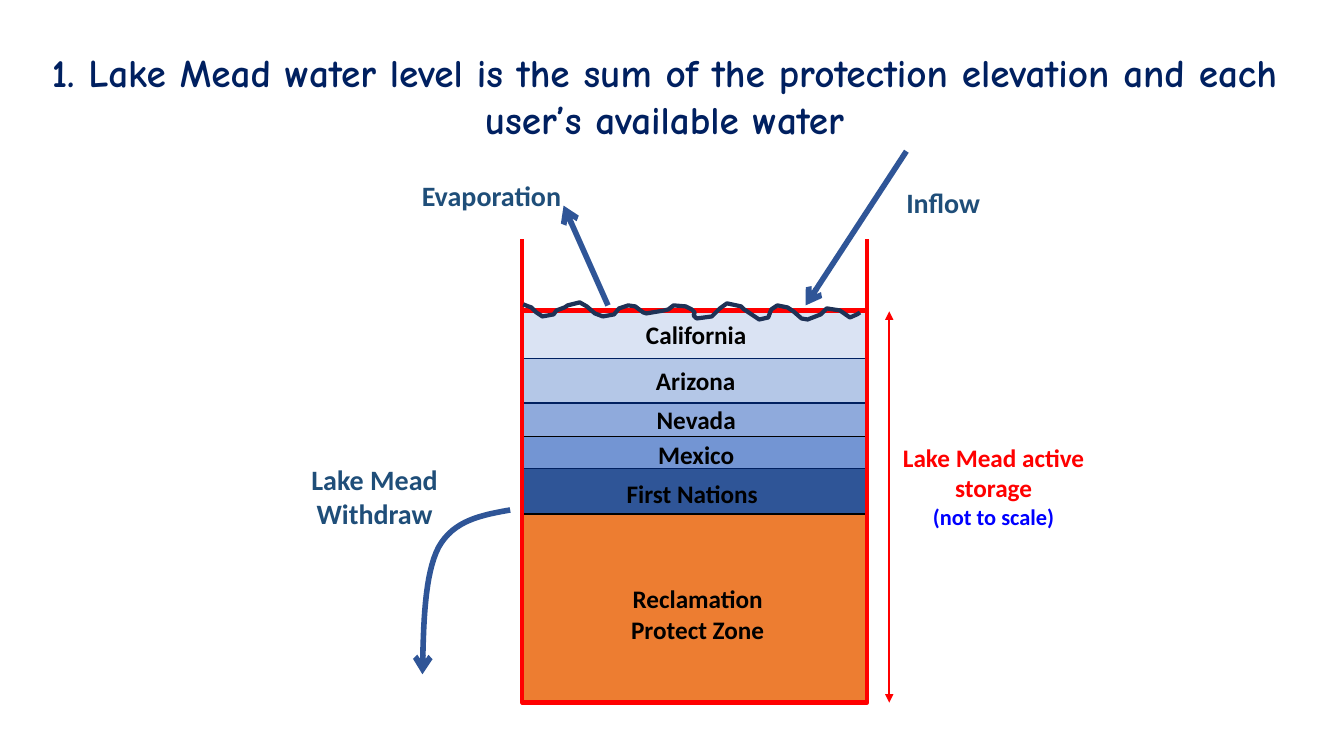
from lxml import etree
from pptx import Presentation
from pptx.dml.color import RGBColor
from pptx.enum.shapes import MSO_CONNECTOR, MSO_SHAPE
from pptx.enum.text import MSO_ANCHOR, MSO_AUTO_SIZE, PP_ALIGN
from pptx.oxml.ns import qn
from pptx.util import Inches, Pt

LINE = MSO_CONNECTOR.STRAIGHT
RECT = MSO_SHAPE.RECTANGLE
TOP = MSO_ANCHOR.TOP
FIXED = MSO_AUTO_SIZE.NONE
MID = PP_ALIGN.CENTER

HUE = {"navy": "002060", "flow": "2F5597", "label": "1F4E79", "red": "FF0000",
       "blue": "0000FF", "black": "000000", "wave": "1E3256"}

TITLE = ("1. Lake Mead water level is the sum of the protection elevation "
         "and each user’s available water")
LEFT, WIDTH, FLOOR = 5.18, 3.42, 6.97
RIGHT = LEFT + WIDTH

# name, top, fill, edge, label box
BANDS = [
    ("California", 3.08, "DAE3F3", "navy", (5.83, 3.12, 2.15, 0.4)),
    ("Arizona", 3.56, "B4C7E7", "navy", (5.81, 3.58, 2.18, 0.4)),
    ("Nevada", 4.0, "8FAADC", "navy", (6.41, 3.96, 0.99, 0.4)),
    ("Mexico", 4.33, "7395D3", "black", (6.36, 4.31, 1.09, 0.4)),
    ("First Nations", 4.65, "2F5597", "navy", (5.47, 4.7, 2.79, 0.4)),
    ("Reclamation Protect Zone", 5.1, "ED7D31", "black", (5.84, 5.74, 2.16, 0.71)),
]
SURFACE = BANDS[0][1]

LABELS = [
    ((8.39, 1.79, 1.93, 0.44), [("Inflow", 20, "label")]),
    ((2.96, 4.54, 1.51, 0.77), [("Lake Mead Withdraw", 20, "label")]),
    ((3.91, 1.72, 1.93, 0.44), [("Evaporation", 20, "label")]),
    ((8.82, 4.34, 2.07, 0.98), [("Lake Mead active storage", 18, "red"),
                                ("(not to scale)", 16, "blue")]),
]

# start, end, hue, weight, head, tail
LINES = [
    ((8.99, 1.5), (7.99, 3.03), "flow", 4, None, "arrow"),
    ((6.03, 3.03), (5.59, 2.04), "flow", 4, None, "arrow"),
    ((8.82, 3.09), (8.82, FLOOR), "red", 1.5, "triangle", "triangle"),
    ((LEFT, SURFACE), (LEFT, 2.37), "red", 3, None, None),
    ((RIGHT, SURFACE), (RIGHT, 2.37), "red", 3, None, None),
]

DRAIN = [
    [(5.06, 5.06), (4.78, 5.11), (4.5, 5.16), (4.35, 5.43)],
    [(4.35, 5.43), (4.21, 5.7), (4.2, 6.19), (4.19, 6.69)],
]

WAVE = [
    (5.19, 3.02), (5.24, 3.04), (5.27, 3.05), (5.32, 3.1), (5.38, 3.14),
    (5.49, 3.12), (5.52, 3.08), (5.6, 3.05), (5.63, 3.03), (5.75, 3.0),
    (5.82, 3.04), (5.9, 3.11), (5.98, 3.14), (6.09, 3.12), (6.14, 3.06),
    (6.23, 3.03), (6.3, 3.04), (6.38, 3.1), (6.41, 3.11), (6.59, 3.08),
    (6.63, 3.07), (6.68, 3.03), (6.8, 3.04), (6.86, 3.07), (6.89, 3.1),
    (6.88, 3.13), (6.91, 3.16), (7.06, 3.14), (7.14, 3.06), (7.21, 3.01),
    (7.35, 3.04), (7.38, 3.07), (7.47, 3.13), (7.53, 3.17), (7.62, 3.15),
    (7.65, 3.07), (7.71, 3.03), (7.81, 3.05), (7.87, 3.09), (7.95, 3.16),
    (8.01, 3.17), (8.14, 3.12), (8.2, 3.06), (8.33, 3.08), (8.43, 3.15),
    (8.5, 3.12), (8.53, 3.1),
]


def rgb(hue):
    return RGBColor.from_string(HUE.get(hue, hue))


def emu(nums):
    return [Inches(n) for n in nums]


def stroke(shape, hue, weight, head=None, tail=None):
    shape.line.color.rgb = rgb(hue)
    shape.line.width = Pt(weight)
    ln = shape.line._get_or_add_ln()
    for tag, kind in (("a:headEnd", head), ("a:tailEnd", tail)):
        if kind:
            etree.SubElement(ln, qn(tag)).set("type", kind)


def style(para, text, size, hue, face="Calibri"):
    para.text = text
    para.alignment = MID
    font = para.font
    font.name, font.size, font.bold = face, Pt(size), True
    font.color.rgb = rgb(hue)


def label(box, rows):
    frame = slide.shapes.add_textbox(*emu(box)).text_frame
    frame.word_wrap = True
    for i, row in enumerate(rows):
        style(frame.add_paragraph() if i else frame.paragraphs[0], *row)


def block(top, base, hue, weight, fill=None):
    shape = slide.shapes.add_shape(RECT, *emu((LEFT, top, WIDTH, base - top)))
    shape.shadow.inherit = False
    if fill:
        shape.fill.solid()
        shape.fill.fore_color.rgb = rgb(fill)
    else:
        shape.fill.background()
    stroke(shape, hue, weight)


def link(start, end, *look):
    line = slide.shapes.add_connector(LINE, *emu(start + end))
    etree.SubElement(line._element.spPr, qn("a:effectLst"))
    stroke(line, *look)
    props = line._element.spPr
    props.append(props.find(qn("a:effectLst")))


def trace(points, *look):
    pen = slide.shapes.build_freeform(*emu(points[0]))
    pen.add_line_segments([emu(p) for p in points[1:]], close=False)
    shape = pen.convert_to_shape()
    shape.shadow.inherit = False
    shape.fill.background()
    stroke(shape, *look)


def bend(knots, steps=16):
    for i in range(steps + 1):
        t = i / steps
        parts = ((1 - t) ** 3, 3 * t * (1 - t) ** 2, 3 * t * t * (1 - t), t ** 3)
        yield tuple(sum(w * k[axis] for w, k in zip(parts, knots)) for axis in (0, 1))


deck = Presentation()
deck.slide_width, deck.slide_height = Inches(13.33), Inches(7.5)
slide = deck.slides.add_slide(deck.slide_layouts[5])

title = slide.shapes.title
title.left, title.top, title.width, title.height = emu((0.38, 0.43, 12.42, 1.04))
title.text_frame.word_wrap = True
title.text_frame.auto_size = FIXED
title.text_frame.vertical_anchor = TOP
style(title.text_frame.paragraphs[0], TITLE, 28, "navy", "Comic Neue")

bases = [band[1] for band in BANDS[1:]] + [FLOOR]
for (name, top, fill, edge, box), base in zip(BANDS, bases):
    block(top, base, edge, 1, fill)
for name, top, fill, edge, box in BANDS:
    label(box, [(name, 18, "black")])
block(SURFACE, FLOOR, "red", 3)

for item in LABELS:
    label(*item)
for item in LINES:
    link(*item)
first, second = [list(bend(knots)) for knots in DRAIN]
trace(first + second[1:], "flow", 4, None, "arrow")
trace(WAVE, "wave", 3)

deck.save("out.pptx")
